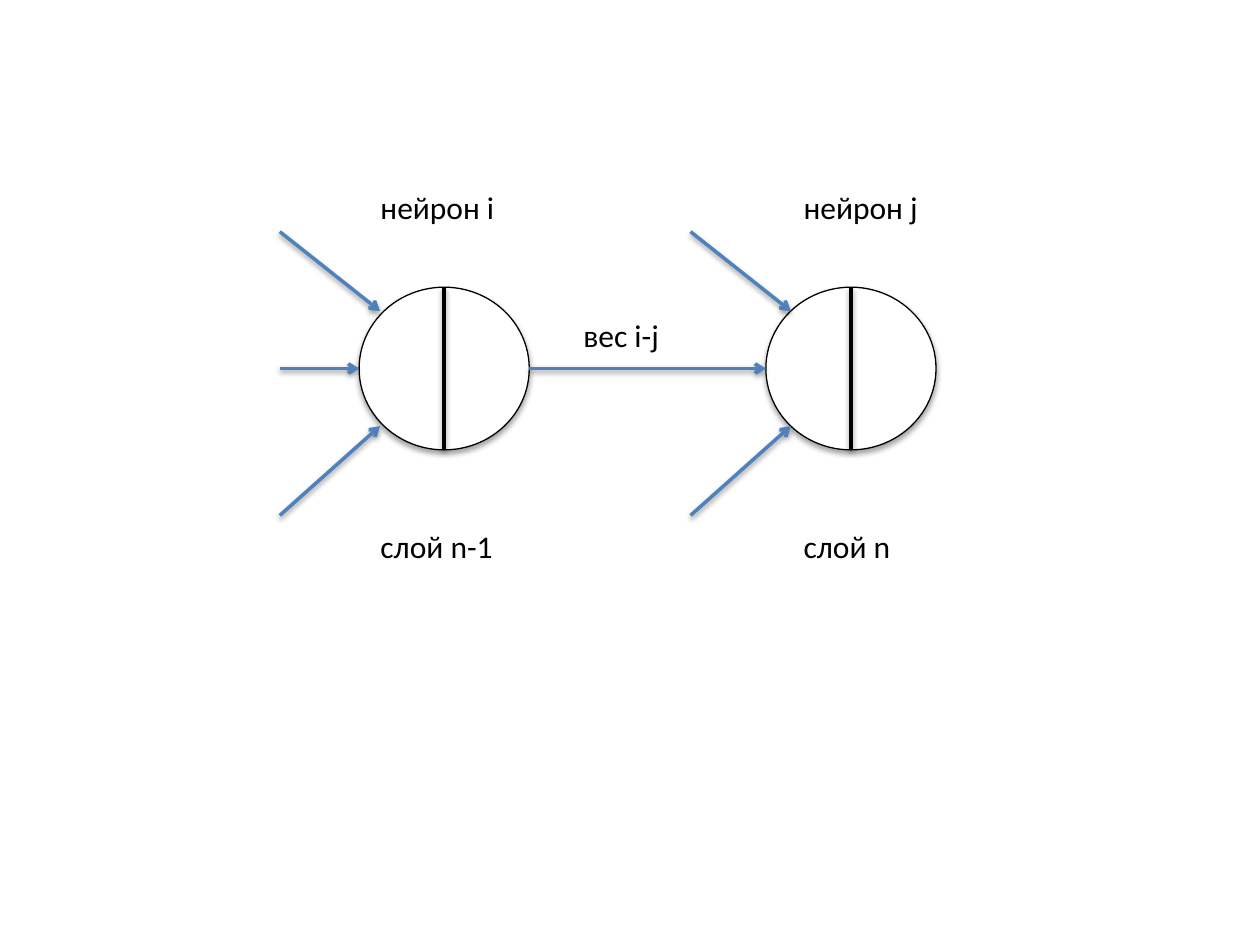
from dataclasses import dataclass

import pptx
import pptx.dml.color
import pptx.enum.shapes
import pptx.enum.text
import pptx.oxml.ns
import pptx.util
from lxml import etree
from pptx.util import Cm


@dataclass(frozen=True)
class Theme:
    font: str = "Calibri"
    size: float = 18
    ink: str = "000000"
    paper: str = "FFFFFF"
    arrow: str = "4F81BD"
    outline: float = 0.75
    stroke: float = 2


THEME = Theme()
NEURON_W, NEURON_H = 3.43, 3.28
NEURON_TOP = 5.79
AXIS = NEURON_TOP + NEURON_H / 2
INPUT_RUN = 2.02
INPUT_ROWS = [(4.67, 6.27), (10.39, 8.59)]
NAME_TOP, LAYER_TOP = 3.66, 10.49


def rgb(value):
    return pptx.dml.color.RGBColor.from_string(value)


def add_line(s, x1, y1, x2, y2, color):
    line = s.shapes.add_connector(
        pptx.enum.shapes.MSO_CONNECTOR.STRAIGHT, Cm(x1), Cm(y1), Cm(x2), Cm(y2)
    )
    line.line.color.rgb = rgb(color)
    line.line.width = pptx.util.Pt(THEME.stroke)
    return line


def add_arrow(s, x1, y1, x2, y2):
    line = add_line(s, x1, y1, x2, y2, THEME.arrow)
    ln = line.line._get_or_add_ln()
    etree.SubElement(ln, pptx.oxml.ns.qn("a:tailEnd"), type="arrow")


def add_neuron(s, left):
    sp = s.shapes.add_shape(
        pptx.enum.shapes.MSO_SHAPE.OVAL,
        Cm(left), Cm(NEURON_TOP), Cm(NEURON_W), Cm(NEURON_H),
    )
    sp.fill.solid()
    sp.fill.fore_color.rgb = rgb(THEME.paper)
    sp.line.color.rgb = rgb(THEME.ink)
    sp.line.width = pptx.util.Pt(THEME.outline)
    middle = left + NEURON_W / 2
    add_line(s, middle, NEURON_TOP, middle, NEURON_TOP + NEURON_H, THEME.ink)


def add_inputs(s, left):
    for start, end in INPUT_ROWS:
        add_arrow(s, left, start, left + INPUT_RUN, end)


def add_label(s, text, left, top, width):
    sp = s.shapes.add_textbox(Cm(left), Cm(top), Cm(width), Cm(1.02))
    tf = sp.text_frame
    tf.word_wrap = False
    tf.auto_size = pptx.enum.text.MSO_AUTO_SIZE.SHAPE_TO_FIT_TEXT
    p = tf.paragraphs[0]
    p.text = text
    p.font.name = THEME.font
    p.font.size = pptx.util.Pt(THEME.size)
    p.font.color.rgb = rgb(THEME.ink)


def main():
    prs = pptx.Presentation()
    prs.slide_width, prs.slide_height = Cm(25.4), Cm(19.05)
    s = prs.slides.add_slide(prs.slide_layouts[6])

    first, second = 7.24, 15.44
    first_inputs, second_inputs = 5.64, 13.92
    for left in (first, second):
        add_neuron(s, left)
    add_arrow(s, first + NEURON_W, AXIS, second, AXIS)
    for left in (second_inputs, first_inputs):
        add_inputs(s, left)
    add_arrow(s, first_inputs, AXIS, first, AXIS)

    for text, left, top, width in [
        ("слой n-1", 7.42, LAYER_TOP, 2.79),
        ("слой n", 15.95, LAYER_TOP, 2.29),
        ("нейрон i", 7.42, NAME_TOP, 2.82),
        ("нейрон j", 15.95, NAME_TOP, 2.84),
        ("вес i-j", 11.51, 6.25, 2.06),
    ]:
        add_label(s, text, left, top, width)

    prs.save("out.pptx")


if __name__ == "__main__":
    main()
